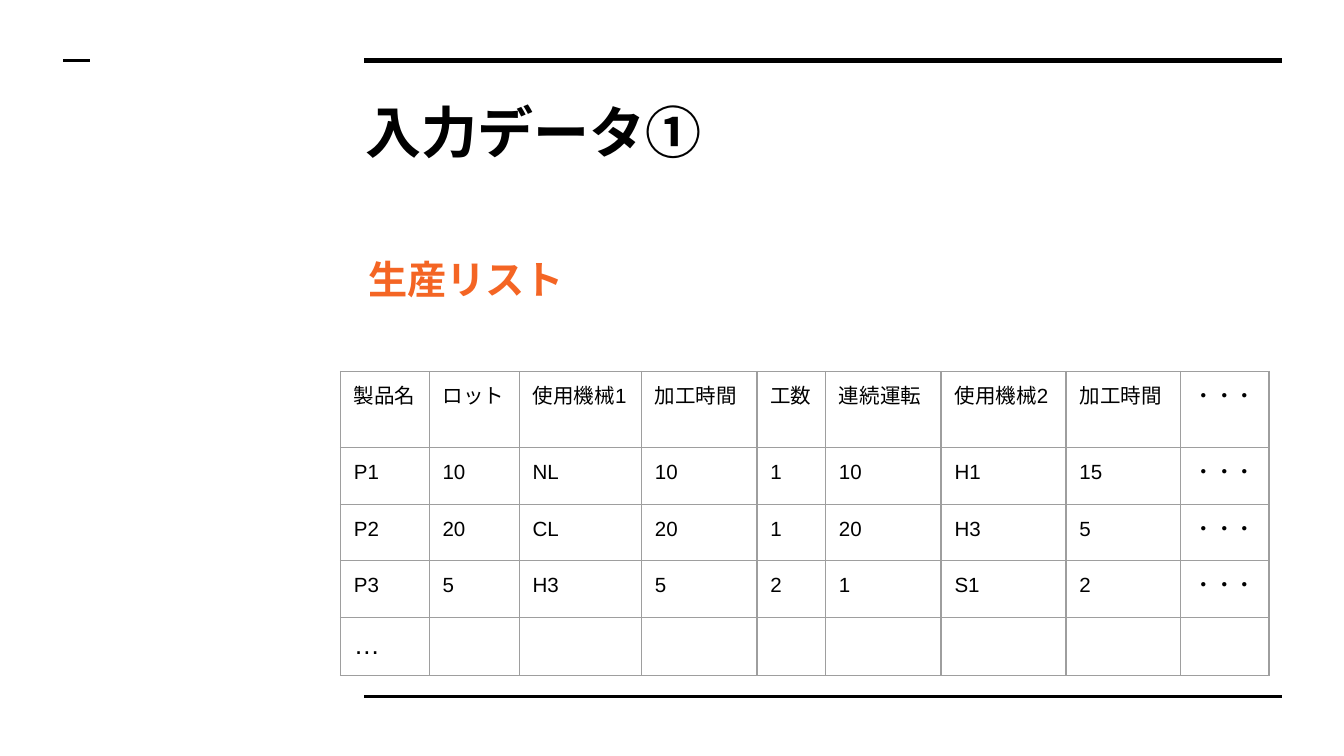
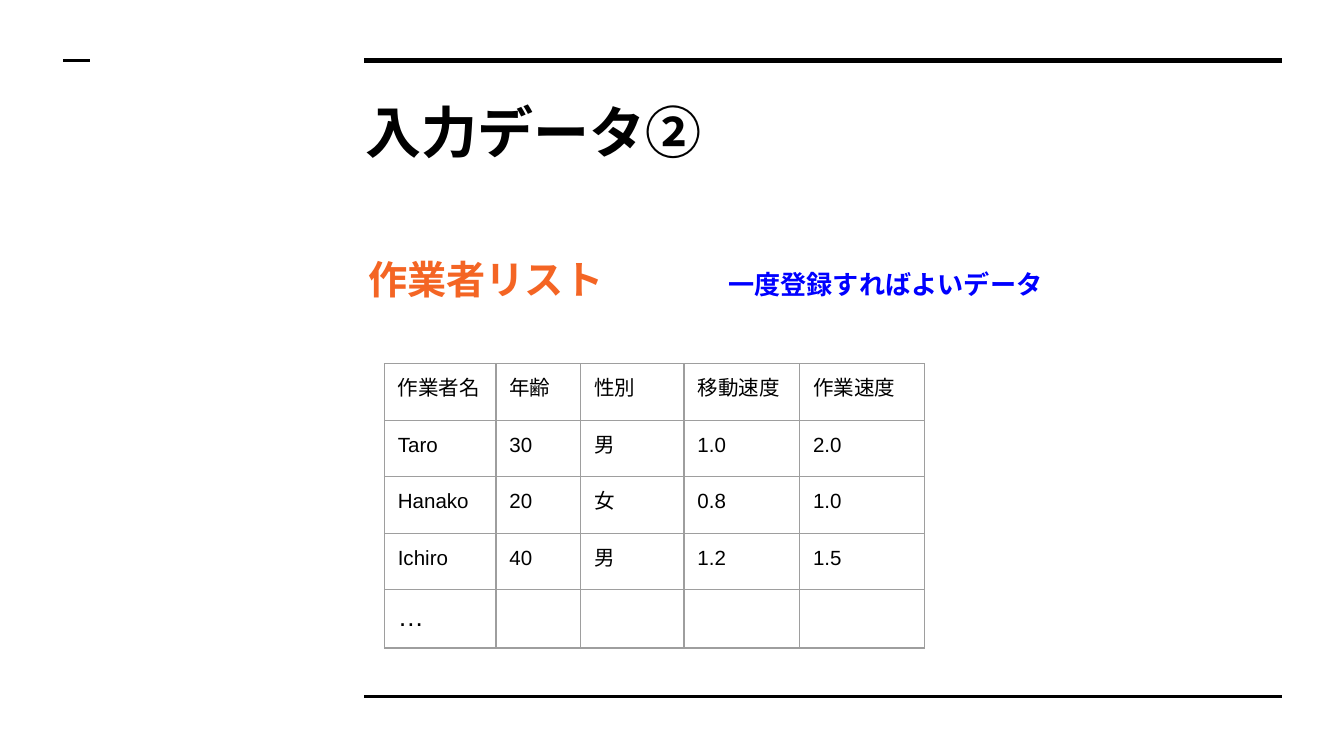
from dataclasses import dataclass
from typing import NamedTuple

from lxml import etree
from pptx import Presentation, util as u
from pptx.dml import color
from pptx.enum import lang, shapes, text
from pptx.oxml import ns


@dataclass(frozen=True)
class Theme:
    black: str = "000000"
    orange: str = "F46524"
    blue: str = "0000FF"
    gray: str = "9E9E9E"
    border: float = 0.75


class Style(NamedTuple):
    font: str
    size: float
    tint: str
    bold: bool = False


class Rule(NamedTuple):
    left: float
    right: float
    row: float
    weight: float


class Box(NamedTuple):
    left: float
    top: float
    width: float
    height: float


@dataclass(frozen=True)
class Grid:
    left: float
    top: float
    cols: list[float]
    rows: list[list[str]]


@dataclass(frozen=True)
class Page:
    title: str
    head: str
    grid: Grid
    note: str = ""


THEME = Theme()
TITLE = Style("Manrope", 30, THEME.black, True)
HEAD = Style("Lato", 21, THEME.orange, True)
NOTE = Style("Lato", 14, THEME.blue, True)
CELL = Style("Arial", 11, THEME.black)
MORE = Style("Arial", 14, THEME.black)

# The slide is a grid of 100 columns by 100 rows
WIDTH, HEIGHT = u.Inches(10), u.Inches(5.625)
RULES = [Rule(27.1, 95.4, 8, 3), Rule(27.1, 95.4, 92.1, 1.5), Rule(4.7, 6.7, 8, 1.5)]
TOP = Box(26.2, 11.2, 69.1, 12.2)
BODY = Box(26.4, 31.1, 69.1, 58.3)
ROW = 7.48
TAB = 26.8
INSET = u.Inches(0.1)

DOTS = "・・・"
PAGES = [
    Page("入力データ①", "生産リスト", Grid(
        25.33, 49.15, [6.6, 6.7, 9.1, 8.6, 5.1, 8.6, 9.3, 8.5, 6.6], [
            ["製品名", "ロット", "使用機械1", "加工時間", "工数",
             "連続運転", "使用機械2", "加工時間", DOTS],
            ["P1", "10", "NL", "10", "1", "10", "H1", "15", DOTS],
            ["P2", "20", "CL", "20", "1", "20", "H3", "5", DOTS],
            ["P3", "5", "H3", "5", "2", "1", "S1", "2", DOTS],
            ["…"] + [""] * 8,
        ])),
    Page("入力データ②", "作業者リスト", Grid(
        28.6, 48.1, [8.3, 6.3, 7.7, 8.6, 9.3], [
            ["作業者名", "年齢", "性別", "移動速度", "作業速度"],
            ["Taro", "30", "男", "1.0", "2.0"],
            ["Hanako", "20", "女", "0.8", "1.0"],
            ["Ichiro", "40", "男", "1.2", "1.5"],
            ["…"] + [""] * 4,
        ]), "一度登録すればよいデータ"),
]


def col(n: float) -> int:
    return round(WIDTH * n / 100)


def row(n: float) -> int:
    return round(HEIGHT * n / 100)


def add(parent, tag: str, **attrs: str):
    return etree.SubElement(parent, ns.qn(tag), attrs)


def paint(run, style: Style) -> None:
    font = run.font
    font.name, font.size, font.bold = style.font, u.Pt(style.size), style.bold
    font.color.rgb = color.RGBColor.from_string(style.tint)
    font.language_id = lang.MSO_LANGUAGE_ID.JAPANESE
    add(font._element, "a:ea", typeface=style.font)


def draw_rule(slide, rule: Rule) -> None:
    line = slide.shapes.add_connector(
        shapes.MSO_CONNECTOR.STRAIGHT,
        col(rule.left), row(rule.row), col(rule.right), row(rule.row))
    line.line.color.rgb = color.RGBColor.from_string(THEME.black)
    line.line.width = u.Pt(rule.weight)
    add(line._element.spPr, "a:effectLst")


def draw_text(slide, box: Box, words: str, style: Style, anchor):
    frame = slide.shapes.add_textbox(
        col(box.left), row(box.top), col(box.width), row(box.height)).text_frame
    frame.word_wrap = True
    frame.vertical_anchor = anchor
    frame.margin_left = frame.margin_right = INSET
    frame.margin_top = frame.margin_bottom = INSET
    frame.text = words
    para = frame.paragraphs[0]
    paint(para.runs[0], style)
    return para


def draw_body(slide, page: Page) -> None:
    words = page.head + ("\t" if page.note else "")
    para = draw_text(slide, BODY, words, HEAD, text.MSO_ANCHOR.TOP)
    para.line_spacing = 1.15
    if page.note:
        # A tab stop sets the gap before the note
        tabs = add(para._p.get_or_add_pPr(), "a:tabLst")
        add(tabs, "a:tab", pos=str(col(TAB)), algn="l")
        run = para.add_run()
        run.text = page.note
        paint(run, NOTE)


def edge(cell) -> None:
    props = cell._tc.get_or_add_tcPr()
    for side in "LRTB":
        line = add(props, f"a:ln{side}", w=str(u.Pt(THEME.border)))
        add(add(line, "a:solidFill"), "a:srgbClr", val=THEME.gray)


def fill_cell(cell, words: str) -> None:
    edge(cell)
    cell.fill.background()
    cell.margin_left = cell.margin_right = INSET
    cell.margin_top = cell.margin_bottom = INSET
    para = cell.text_frame.paragraphs[0]
    if words:
        para.text = words
        paint(para.runs[0], MORE if words == "…" else CELL)
    else:
        add(para._p, "a:endParaRPr", sz=str(CELL.size * 100))


def draw_grid(slide, grid: Grid) -> None:
    count = len(grid.rows)
    table = slide.shapes.add_table(
        count, len(grid.cols), col(grid.left), row(grid.top),
        col(sum(grid.cols)), row(ROW * count)).table
    table.first_row = table.horz_banding = False
    for part, width in zip(table.columns, grid.cols):
        part.width = col(width)
    for line, words in zip(table.rows, grid.rows):
        line.height = row(ROW)
        for cell, word in zip(line.cells, words):
            fill_cell(cell, word)


def main() -> None:
    deck = Presentation()
    deck.slide_width, deck.slide_height = WIDTH, HEIGHT
    for page in PAGES:
        slide = deck.slides.add_slide(deck.slide_layouts[6])
        for rule in RULES:
            draw_rule(slide, rule)
        draw_text(slide, TOP, page.title, TITLE, text.MSO_ANCHOR.MIDDLE)
        draw_body(slide, page)
        draw_grid(slide, page.grid)
    deck.save("out.pptx")


if __name__ == "__main__":
    main()
